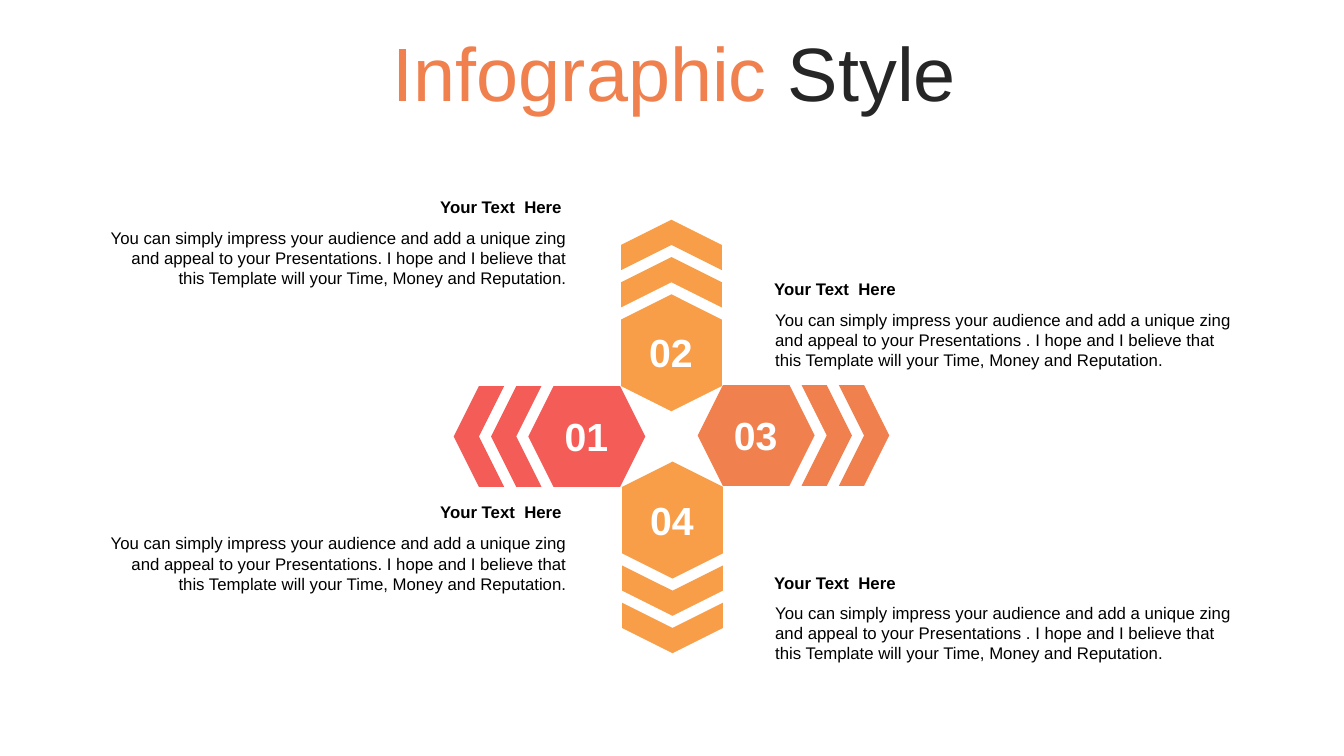
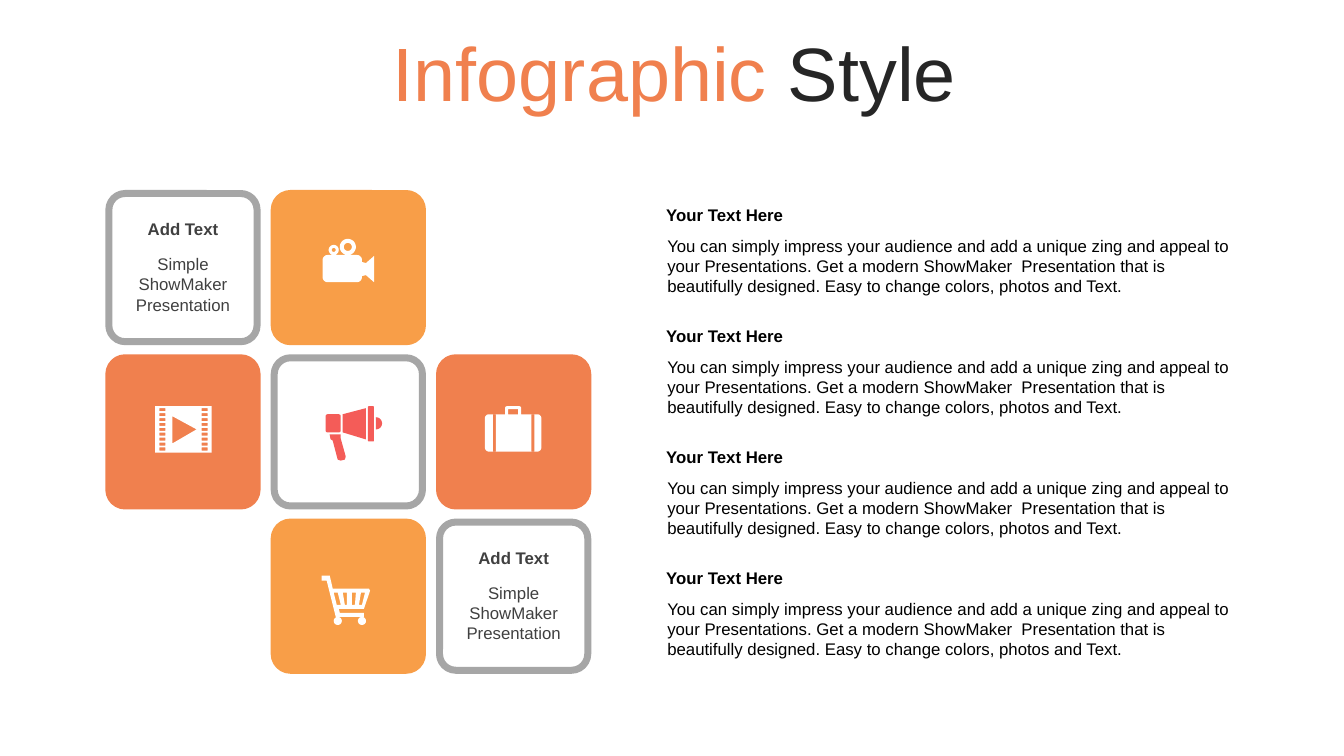
"""Build two infographic slides: a four-arm cross and a grid of icon tiles."""
from dataclasses import dataclass
from math import cos, pi, sin

from pptx import Presentation
from pptx.dml.color import RGBColor
from pptx.enum.shapes import MSO_SHAPE
from pptx.enum.text import MSO_ANCHOR, PP_ALIGN
from pptx.util import Inches, Pt

HEXAGON, CHEVRON, ROUNDED = MSO_SHAPE.HEXAGON, MSO_SHAPE.CHEVRON, MSO_SHAPE.ROUNDED_RECTANGLE
LEFT, CENTER, RIGHT = PP_ALIGN.LEFT, PP_ALIGN.CENTER, PP_ALIGN.RIGHT
TOP, MIDDLE = MSO_ANCHOR.TOP, MSO_ANCHOR.MIDDLE

COLORS = {
    "orange": "F0804E",
    "amber": "F89E48",
    "red": "F45C58",
    "grey": "A6A6A6",
    "white": "FFFFFF",
    "black": "000000",
    "dark": "262626",
    "soft": "404040",
}
FORMATS = {
    "title": {"name": "Arial", "size": Pt(54)},
    "number": {"name": "Arial", "size": Pt(28), "bold": True},
    "heading": {"name": "Arial", "size": Pt(12), "bold": True},
    "body": {"name": "Arial", "size": Pt(12)},
}

Point = tuple[float, float]
Contour = list[Point]


@dataclass(frozen=True)
class Run:
    text: str
    format: str
    color: str = "black"


@dataclass(frozen=True)
class Arm:
    number: str
    x: float
    y: float
    angle: int
    color: str


@dataclass(frozen=True)
class Note:
    x: float
    y: float
    width: float
    heading: str
    body: str
    align: PP_ALIGN = LEFT
    color: str = "black"
    indent: float = 0.01
    drop: float = 0.31
    widen: float = 0


@dataclass(frozen=True)
class Tile:
    column: int
    row: int
    fill: str
    line: str


@dataclass(frozen=True)
class Icon:
    color: str
    contours: list[Contour]


def arc(cx: float, cy: float, r: float, start: float = 0, sweep: float = 360) -> Contour:
    """Return points along a circular arc, with angles in degrees."""
    steps = max(6, int(sweep / 10))
    angles = [(start + sweep * i / steps) * pi / 180 for i in range(steps + 1)]
    return [(cx + r * cos(a), cy + r * sin(a)) for a in angles]


def box(x: float, y: float, w: float, h: float, r: float = 0) -> Contour:
    """Return a rectangle, with rounded corners when r is given."""
    if not r:
        return [(x, y), (x + w, y), (x + w, y + h), (x, y + h)]
    corners = [(x + w - r, y + h - r), (x + r, y + h - r), (x + r, y + r), (x + w - r, y + r)]
    return [pt for i, (cx, cy) in enumerate(corners) for pt in arc(cx, cy, r, 90 * i, 90)]


ARMS = [
    Arm("01", 5.82, 4.33, 180, "red"),
    Arm("02", 6.66, 3.5, 270, "amber"),
    Arm("03", 7.5, 4.32, 0, "orange"),
    Arm("04", 6.67, 5.16, 90, "amber"),
]
HEX_WIDTH, CHEVRON_WIDTH, ARM_HEIGHT = 1.16, 0.5, 1
CHEVRON_OFFSETS = (0.7, 1.07)

IMPRESS = "You can simply impress your audience and add a unique zing and appeal to your Presentations"
HOPE = "I hope and I believe that this Template will your Time, Money and Reputation."
CROSS_NOTES = [
    Note(x, y, 4.69, "Your Text  Here", f"{IMPRESS}{stop} {HOPE}", align, drop=drop, widen=0.04)
    for x, align, stop, drop, tops in [
        (7.58, LEFT, " .", 0.3, (2.72, 5.63)),
        (0.98, RIGHT, ".", 0.31, (1.9, 4.93)),
    ]
    for y in tops
]

GRID_LEFT, GRID_TOP, TILE_SIZE = 1.08, 1.92, 1.47
COLUMN_STEP, ROW_STEP = 1.64, 1.63
TILES = [
    Tile(0, 0, "white", "grey"),
    Tile(1, 0, "amber", "amber"),
    Tile(0, 1, "orange", "orange"),
    Tile(1, 1, "white", "grey"),
    Tile(2, 1, "orange", "orange"),
    Tile(1, 2, "amber", "amber"),
    Tile(2, 2, "white", "grey"),
]
TILE_NOTES = [
    Note(GRID_LEFT + COLUMN_STEP * i + 0.06, GRID_TOP + ROW_STEP * i + 0.2, 1.35,
         "Add Text", "Simple ShowMaker Presentation", CENTER, "soft", 0, 0.35)
    for i in (0, 2)
]
MODERN = "Get a modern ShowMaker  Presentation that is beautifully designed."
EASY = "Easy to change colors, photos and Text."
LIST_NOTES = [
    Note(6.51, 1.98 + 1.2 * i, 5.87, "Your Text Here", f"{IMPRESS}. {MODERN} {EASY}")
    for i in range(4)
]

CAMERA = Icon("white", [
    box(3.2, 2.53, 0.39, 0.27, 0.05),
    [(3.59, 2.6), (3.63, 2.61), (3.71, 2.54), (3.71, 2.8), (3.63, 2.73), (3.59, 2.74)],
    arc(3.45, 2.45, 0.08),
    arc(3.45, 2.45, 0.04),
    arc(3.31, 2.48, 0.05),
    arc(3.31, 2.48, 0.02),
])
FILM = Icon("white", [
    box(1.54, 4.03, 0.56, 0.46),
    [(1.71, 4.13), (1.71, 4.4), (1.95, 4.26)],
    *[box(x, 4.05 + 0.39 * i / 8, 0.06, 0.03) for x in (1.58, 2) for i in range(9)],
])
MEGAPHONE = Icon("red", [
    [(3.27, 4.31), (3.38, 4.31), (3.38, 4.35), (3.43, 4.53), (3.42, 4.56), (3.38, 4.57),
     (3.35, 4.56), (3.3, 4.37), (3.28, 4.36)],
    arc(3.73, 4.2, 0.06, -90, 180),
    box(3.23, 4.11, 0.15, 0.18, 0.02),
    [(3.63, 4.05), (3.63, 4.36), (3.4, 4.29), (3.4, 4.11)],
    box(3.65, 4.03, 0.06, 0.35, 0.01),
])
SUITCASE = Icon("white", [
    box(4.81, 4.11, 0.56, 0.37, 0.04),
    *[box(x, 4.11, 0.03, 0.37) for x in (4.89, 5.27)],
    [*arc(5.03, 4.05, 0.02, 180, 90), *arc(5.15, 4.05, 0.02, 270, 90), (5.17, 4.11), (5.01, 4.11)],
    box(5.04, 4.06, 0.1, 0.05),
])
CART = Icon("white", [
    [(3.19, 5.71), (3.27, 5.71), (3.3, 5.84), (3.66, 5.84), (3.67, 5.86), (3.61, 6.04),
     (3.36, 6.04), (3.37, 6.08), (3.61, 6.08), (3.61, 6.12), (3.33, 6.12), (3.24, 5.76),
     (3.19, 5.76)],
    [(3.58, 5.88), (3.56, 6), (3.59, 6), (3.62, 5.88)],
    [(3.49, 5.88), (3.49, 6), (3.52, 6), (3.53, 5.88)],
    [(3.4, 5.88), (3.42, 6), (3.44, 6), (3.44, 5.88)],
    [(3.31, 5.88), (3.34, 6), (3.38, 6), (3.35, 5.88)],
    arc(3.35, 6.16, 0.04),
    arc(3.59, 6.16, 0.04),
])
ICONS = [CAMERA, FILM, MEGAPHONE, SUITCASE, CART]


def rgb(name: str) -> RGBColor:
    """Look up a named colour."""
    return RGBColor.from_string(COLORS[name])


def paint(sp, fill: str, line: str = "") -> None:
    """Set a flat fill and either a thick line or none."""
    sp.shadow.inherit = False
    sp.fill.solid()
    sp.fill.fore_color.rgb = rgb(fill)
    if line:
        sp.line.color.rgb = rgb(line)
        sp.line.width = Pt(5)
    else:
        sp.line.fill.background()


def add_text(s, x: float, y: float, w: float, h: float, runs: list[Run],
             align: PP_ALIGN = CENTER, anchor: MSO_ANCHOR = TOP):
    """Add a one-paragraph text box and return its paragraph."""
    tf = s.shapes.add_textbox(Inches(x), Inches(y), Inches(w), Inches(h)).text_frame
    tf.word_wrap = True
    tf.vertical_anchor = anchor
    p = tf.paragraphs[0]
    p.alignment = align
    for run in runs:
        r = p.add_run()
        r.text = run.text
        for name, value in FORMATS[run.format].items():
            setattr(r.font, name, value)
        r.font.color.rgb = rgb(run.color)
    return p


def add_title(s) -> None:
    """Add the two-colour title."""
    runs = [Run("Infographic", "title", "orange"), Run(" Style", "title", "dark")]
    p = add_text(s, 0.36, 0.37, 12.66, 0.79, runs, anchor=MIDDLE)
    p.line_spacing = 0.9


def add_note(s, note: Note) -> None:
    """Add a bold heading with its text below."""
    add_text(s, note.x, note.y, note.width, 0.3,
             [Run(note.heading, "heading", note.color)], note.align)
    add_text(s, note.x + note.indent, note.y + note.drop, note.width + note.widen, 0.71,
             [Run(note.body, "body", note.color)], note.align)


def add_arm(s, arm: Arm) -> None:
    """Add a numbered hexagon with chevrons pointing outwards."""
    turn = arm.angle * pi / 180
    parts = [(HEXAGON, HEX_WIDTH, 0)] + [(CHEVRON, CHEVRON_WIDTH, d) for d in CHEVRON_OFFSETS]
    for kind, width, offset in parts:
        x = arm.x + offset * cos(turn) - width / 2
        y = arm.y + offset * sin(turn) - ARM_HEIGHT / 2
        sp = s.shapes.add_shape(kind, Inches(x), Inches(y), Inches(width), Inches(ARM_HEIGHT))
        sp.rotation = arm.angle
        paint(sp, arm.color)
    add_text(s, arm.x - 0.36, arm.y - 0.29, 0.71, 0.57, [Run(arm.number, "number", "white")])


def add_tile(s, tile: Tile) -> None:
    """Add a rounded tile at its grid place."""
    x = GRID_LEFT + COLUMN_STEP * tile.column
    y = GRID_TOP + ROW_STEP * tile.row
    sp = s.shapes.add_shape(ROUNDED, Inches(x), Inches(y), Inches(TILE_SIZE), Inches(TILE_SIZE))
    sp.adjustments[0] = 0.11
    paint(sp, tile.fill, tile.line)


def add_icon(s, icon: Icon) -> None:
    """Draw an icon as one outline, with inner contours as holes."""
    contours = [[(Inches(x), Inches(y)) for x, y in contour] for contour in icon.contours]
    builder = s.shapes.build_freeform(*contours[0][0])
    for i, contour in enumerate(contours):
        if i:
            builder.move_to(*contour[0])
        builder.add_line_segments(contour[1:], close=True)
    paint(builder.convert_to_shape(), icon.color)


def add_slide(prs):
    """Add a blank slide with the shared title."""
    s = prs.slides.add_slide(prs.slide_layouts[6])
    add_title(s)
    return s


def main() -> None:
    """Build and save the presentation."""
    prs = Presentation()
    prs.slide_width, prs.slide_height = Inches(13.33), Inches(7.5)

    s = add_slide(prs)
    for arm in ARMS:
        add_arm(s, arm)
    for note in CROSS_NOTES:
        add_note(s, note)

    s = add_slide(prs)
    for tile in TILES:
        add_tile(s, tile)
    for note in TILE_NOTES + LIST_NOTES:
        add_note(s, note)
    for icon in ICONS:
        add_icon(s, icon)

    prs.save("out.pptx")


if __name__ == "__main__":
    main()
